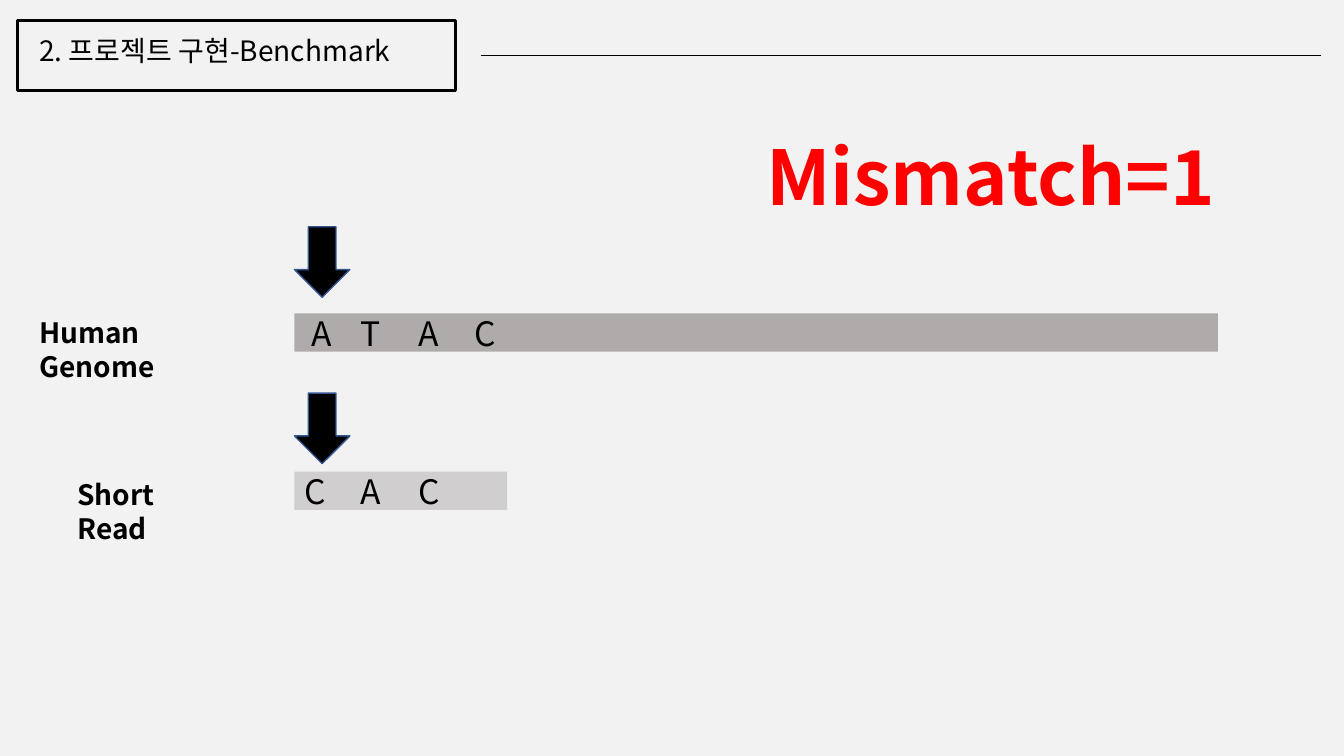
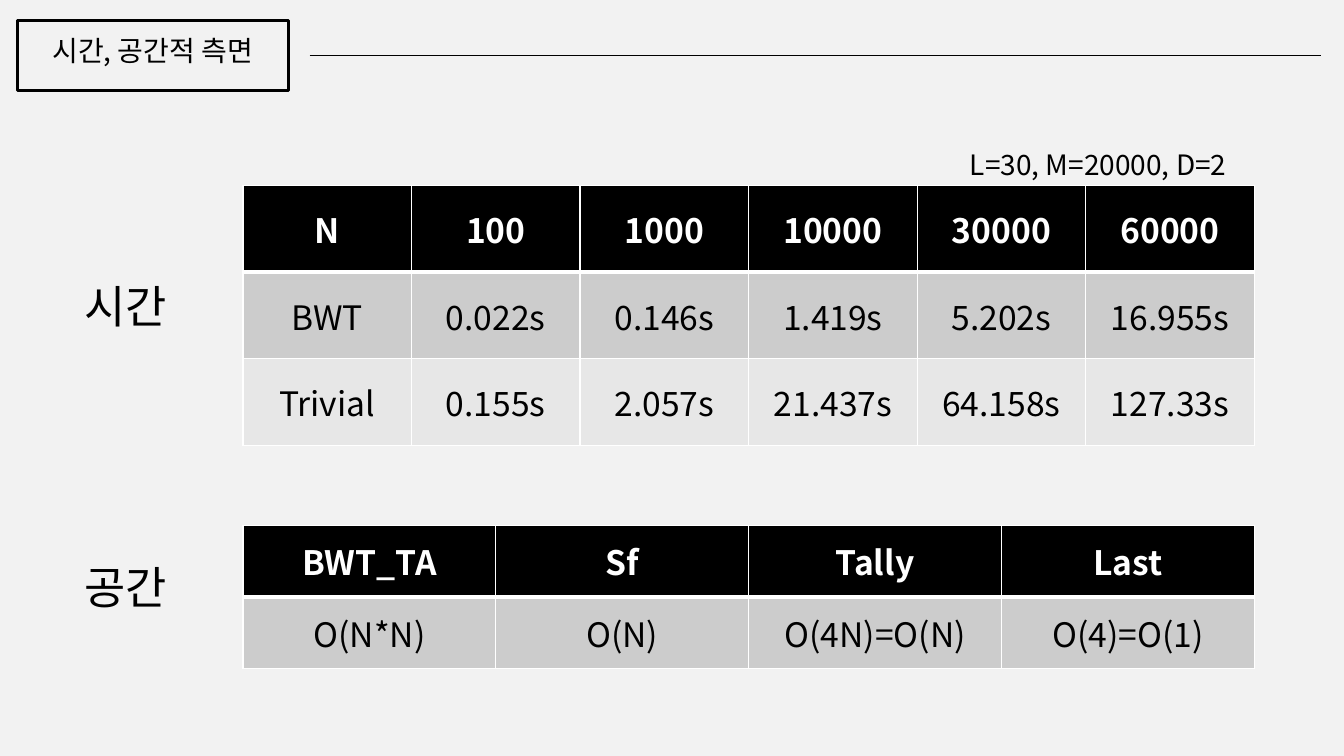
"""Build two slides on matching short reads: the benchmark and its time and space costs."""
from lxml import etree
from pptx import Presentation
from pptx import util as u
from pptx.dml.color import RGBColor
from pptx.enum import shapes, text
from pptx.oxml import ns

BLACK = RGBColor(0x00, 0x00, 0x00)
WHITE = RGBColor(0xFF, 0xFF, 0xFF)
RED = RGBColor(0xFF, 0x00, 0x00)
BACKDROP = RGBColor(0xF2, 0xF2, 0xF2)
GENOME_GREY = RGBColor(0xAF, 0xAB, 0xAB)
READ_GREY = RGBColor(0xD0, 0xCE, 0xCE)
ARROW_EDGE = RGBColor(0x32, 0x54, 0x91)
ROW_GREYS = (RGBColor(0xCC, 0xCC, 0xCC), RGBColor(0xE7, 0xE7, 0xE7))
FONT = "Noto Sans CJK KR"
STRAND_LEFT = 2.92
BASE_STOPS = (0.07, 0.56, 1.13, 1.69)
TABLE_LEFT, TABLE_WIDTH = 2.41, 10.03
LEFT, CENTER = text.PP_ALIGN.LEFT, text.PP_ALIGN.CENTER


def inches(*values):
    return [u.Inches(value) for value in values]


def set_all(target, formats):
    for name, value in formats.items():
        setattr(target, name, value)


def add_xml(parent, tag, **attributes):
    return etree.SubElement(parent, ns.qn(tag), attributes)


def write(frame, words, size, color=BLACK, bold=False, align=LEFT):
    para = frame.paragraphs[0]
    para.alignment = align
    span = para.add_run()
    span.text = words
    set_all(span.font, {"name": FONT, "size": u.Pt(size), "bold": bold})
    span.font.color.rgb = color
    add_xml(span.font._element, "a:ea", typeface=FONT)
    return para


def add_label(page, place, words, size, **style):
    frame = page.shapes.add_textbox(*inches(*place)).text_frame
    frame.word_wrap = True
    write(frame, words, size, **style)


def add_block(page, kind, place, fill=None, line=None, width=1):
    block = page.shapes.add_shape(kind, *inches(*place))
    block.shadow.inherit = False
    if fill is None:
        block.fill.background()
    else:
        block.fill.solid()
        block.fill.fore_color.rgb = fill
    if line is None:
        block.line.fill.background()
    else:
        block.line.color.rgb = line
        block.line.width = u.Pt(width)
    return block


def add_page(deck, title, title_width, rule_left, align):
    page = deck.slides.add_slide(deck.slide_layouts[6])
    page.background.fill.solid()
    page.background.fill.fore_color.rgb = BACKDROP
    box = add_block(page, shapes.MSO_SHAPE.RECTANGLE, (0.17, 0.2, title_width, 0.7),
                    line=BLACK, width=2)
    set_all(box.text_frame, {
        "word_wrap": True, "vertical_anchor": text.MSO_ANCHOR.TOP,
        "margin_top": u.Inches(0.13), "margin_left": u.Inches(0.22 if align == LEFT else 0.1),
    })
    write(box.text_frame, title, 20, align=align)
    rule = page.shapes.add_connector(shapes.MSO_CONNECTOR.STRAIGHT,
                                     *inches(rule_left, 0.55, 13.1, 0.55))
    rule.line.color.rgb = BLACK
    rule.line.width = u.Pt(0.5)
    add_xml(rule._element.spPr, "a:effectLst")
    return page


def add_strand(page, top, width, fill, bases):
    strand = add_block(page, shapes.MSO_SHAPE.RECTANGLE, (STRAND_LEFT, top, width, 0.38), fill)
    strand.text_frame.vertical_anchor = text.MSO_ANCHOR.MIDDLE
    para = write(strand.text_frame, bases, 24)
    stops = add_xml(para._p.get_or_add_pPr(), "a:tabLst")
    for stop in BASE_STOPS:
        add_xml(stops, "a:tab", pos=str(u.Inches(stop)), algn="l")


def add_arrow(page, top):
    add_block(page, shapes.MSO_SHAPE.DOWN_ARROW, (STRAND_LEFT, top, 0.55, 0.7), BLACK, ARROW_EDGE)


def set_borders(cell, bottom, top):
    properties = cell._tc.get_or_add_tcPr()
    for side, width in (("L", 1), ("R", 1), ("T", top), ("B", bottom)):
        border = add_xml(properties, f"a:ln{side}", w=str(u.Pt(width)))
        add_xml(add_xml(border, "a:solidFill"), "a:srgbClr", val=str(WHITE))


def add_grid(page, top, row_height, rows):
    count = len(rows[0])
    place = inches(TABLE_LEFT, top, TABLE_WIDTH, row_height * len(rows))
    grid = page.shapes.add_table(len(rows), count, *place).table
    for column in grid.columns:
        column.width = u.Inches(TABLE_WIDTH / count)
    for index, values in enumerate(rows):
        header = index == 0
        grid.rows[index].height = u.Inches(row_height)
        for position, value in enumerate(values):
            cell = grid.cell(index, position)
            cell.vertical_anchor = text.MSO_ANCHOR.MIDDLE
            set_borders(cell, bottom=3 if header else 1, top=3 if index == 1 else 1)
            cell.fill.solid()
            cell.fill.fore_color.rgb = BLACK if header else ROW_GREYS[index - 1]
            write(cell.text_frame, value, 24, WHITE if header else BLACK, header, CENTER)


def build_benchmark(deck):
    page = add_page(deck, "2. 프로젝트 구현-Benchmark", 4.35, 4.77, LEFT)
    add_strand(page, 3.11, 9.16, GENOME_GREY, "\tA\tT\tA\tC")
    add_strand(page, 4.68, 2.11, READ_GREY, "C\tA\tC")
    for top in (2.25, 3.9):
        add_arrow(page, top)
    add_label(page, (0.29, 3.08, 1.5, 0.78), "Human Genome", 20, bold=True)
    add_label(page, (0.67, 4.69, 1.5, 0.78), "Short Read", 20, bold=True)
    add_label(page, (7.5, 1.24, 4.72, 1.01), "Mismatch=1", 54, color=RED, bold=True)


def build_costs(deck):
    page = add_page(deck, "시간, 공간적 측면", 2.69, 3.07, CENTER)
    add_label(page, (9.52, 1.41, 2.92, 0.44), "L=30, M=20000, D=2", 20)
    for top, name in ((2.72, "시간"), (5.5, "공간")):
        add_label(page, (0.74, top, 1.13, 0.64), name, 32)
    add_grid(page, 1.84, 0.86, [
        ("N", "100", "1000", "10000", "30000", "60000"),
        ("BWT", "0.022s", "0.146s", "1.419s", "5.202s", "16.955s"),
        ("Trivial", "0.155s", "2.057s", "21.437s", "64.158s", "127.33s"),
    ])
    add_grid(page, 5.21, 0.71, [
        ("BWT_TA", "Sf", "Tally", "Last"),
        ("O(N*N)", "O(N)", "O(4N)=O(N)", "O(4)=O(1)"),
    ])


def main():
    deck = Presentation()
    set_all(deck, {"slide_width": u.Inches(13.33), "slide_height": u.Inches(7.5)})
    build_benchmark(deck)
    build_costs(deck)
    deck.save("out.pptx")


if __name__ == "__main__":
    main()
